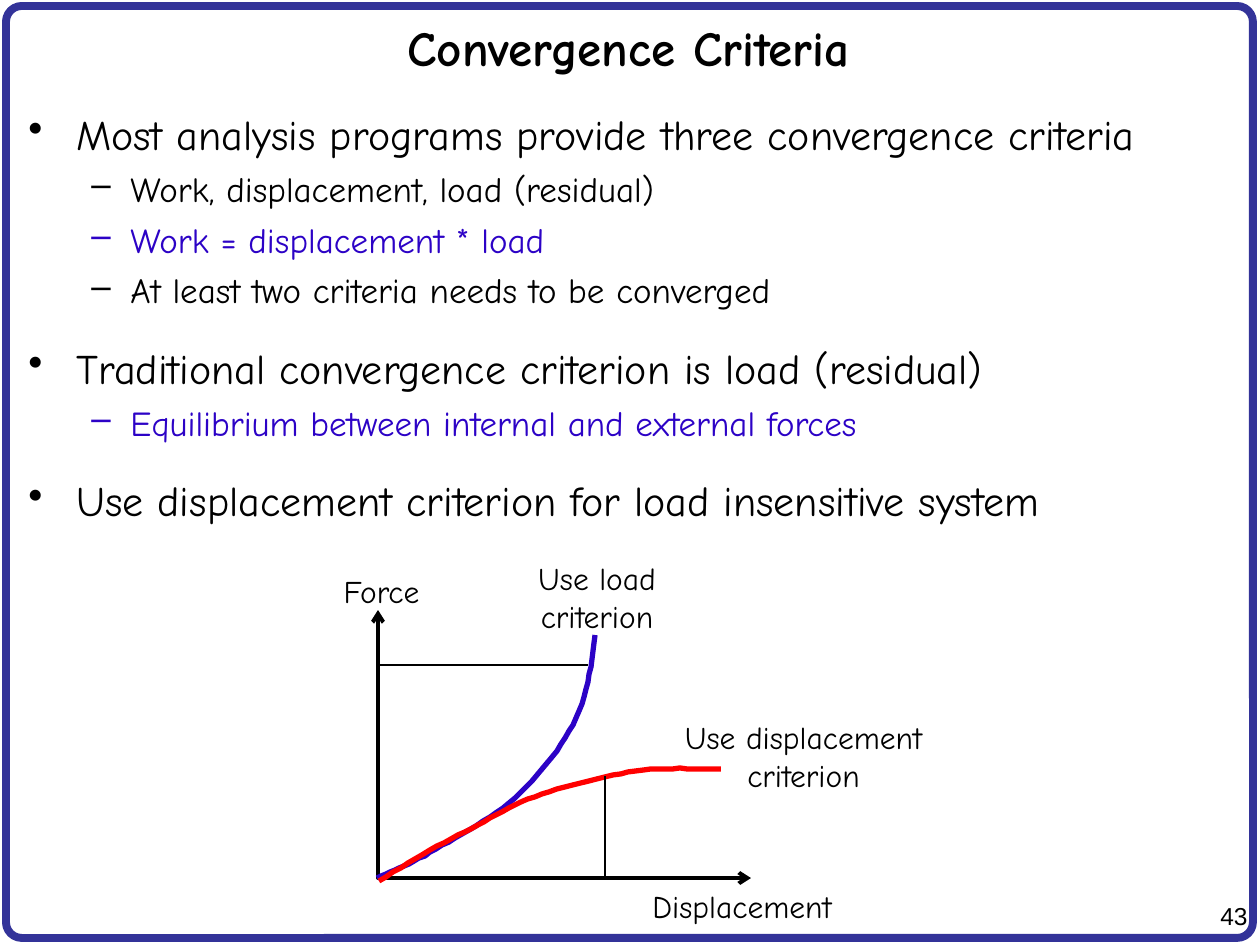
from dataclasses import dataclass

from lxml.etree import SubElement
from pptx import Presentation
from pptx.dml.color import RGBColor
from pptx.enum.shapes import MSO_CONNECTOR as Connector, MSO_SHAPE as Preset
from pptx.enum.text import MSO_ANCHOR as Anchor, MSO_AUTO_SIZE as AutoSize, PP_ALIGN as Align
from pptx.oxml.ns import qn
from pptx.util import Inches, Pt

PX = 914400 / 126


def emu(*lengths):
    return [round(length * PX) for length in lengths]


@dataclass(frozen=True)
class Theme:
    font: str = "Comic Neue"
    number_font: str = "Arial"
    ink: str = "000000"
    accent: str = "2C02C6"
    load: str = "2C02C6"
    displacement: str = "FF0000"
    frame: str = "333399"
    title: int = 28
    point: int = 24
    detail: int = 20
    label: int = 18
    number: int = 14


def bezier_points(start, segments, steps=12):
    """Points along a chain of cubic curves, each given as (control, control, end)."""
    points = [start]
    for c1, c2, end in segments:
        origin = points[-1]
        for step in range(1, steps + 1):
            t = step / steps
            u = 1 - t
            points.append(tuple(
                u**3 * a + 3 * u * u * t * b + 3 * u * t * t * c + t**3 * d
                for a, b, c, d in zip(origin, c1, c2, end)))
    return points


class SlideBuilder:
    def __init__(self, slide, theme):
        self.shapes = slide.shapes
        self.theme = theme

    def stroke(self, shape, color, width):
        shape.line.color.rgb = RGBColor.from_string(color)
        shape.line.width = Pt(width)

    def border(self, box, color, width, radius):
        shape = self.shapes.add_shape(Preset.ROUNDED_RECTANGLE, *emu(*box))
        shape.adjustments[0] = radius
        shape.shadow.inherit = False
        shape.fill.background()
        self.stroke(shape, color, width)

    def format_runs(self, paragraph, size, color=None, font=None, bold=False):
        style = {"name": font or self.theme.font, "size": Pt(size), "bold": bold}
        for run in paragraph.runs:
            for name, value in style.items():
                setattr(run.font, name, value)
            run.font.color.rgb = RGBColor.from_string(color or self.theme.ink)

    def text(self, box, words, size, align=Align.CENTER, wrap=False,
             anchor=Anchor.TOP, **style):
        frame = self.shapes.add_textbox(*emu(*box)).text_frame
        settings = {"word_wrap": wrap, "vertical_anchor": anchor,
                    "auto_size": AutoSize.NONE if wrap else AutoSize.SHAPE_TO_FIT_TEXT}
        for name, value in settings.items():
            setattr(frame, name, value)
        paragraph = frame.paragraphs[0]
        paragraph.text = words
        paragraph.alignment = align
        self.format_runs(paragraph, size, **style)

    def outline(self, box, items):
        """Bulleted list from (level, words, color) items."""
        levels = [("•", 0.38, -0.38, self.theme.point, 18),
                  ("–", 0.81, -0.31, self.theme.detail, 5)]
        frame = self.shapes.add_textbox(*emu(*box)).text_frame
        frame.word_wrap = True
        for index, (level, words, color) in enumerate(items):
            mark, margin, indent, size, gap = levels[level]
            paragraph = frame.add_paragraph() if index else frame.paragraphs[0]
            paragraph.text = words
            paragraph.level = level
            if index:
                paragraph.space_before = Pt(gap)
            props = paragraph._p.get_or_add_pPr()
            props.set("marL", str(Inches(margin)))
            props.set("indent", str(Inches(indent)))
            SubElement(props, qn("a:buChar")).set("char", mark)
            self.format_runs(paragraph, size, color)

    def polyline(self, points, color, width, arrows=False):
        start, *rest = points
        builder = self.shapes.build_freeform(*start, scale=PX)
        builder.add_line_segments(rest, close=False)
        shape = builder.convert_to_shape()
        shape.shadow.inherit = False
        shape.fill.background()
        self.stroke(shape, color, width)
        if arrows:
            for end in ("a:headEnd", "a:tailEnd"):
                SubElement(shape.line._get_or_add_ln(), qn(end)).set("type", "arrow")

    def line(self, start, end, color, width):
        connector = self.shapes.add_connector(Connector.STRAIGHT, *emu(*start, *end))
        self.stroke(connector, color, width)
        SubElement(connector._element.spPr, qn("a:effectLst"))


def main():
    deck = Presentation()
    deck.slide_width, deck.slide_height = Inches(10), Inches(7.5)
    theme = Theme()
    slide = SlideBuilder(deck.slides.add_slide(deck.slide_layouts[6]), theme)

    slide.border((6, 6, 1247, 932), theme.frame, 4.5, 0.017)
    slide.text((1192, 895, 68, 42), "43", theme.number, align=Align.RIGHT,
               wrap=True, font=theme.number_font)
    slide.text((5, 6, 1247, 82), "Convergence Criteria", theme.title,
               wrap=True, anchor=Anchor.MIDDLE, bold=True)
    slide.outline((16, 102, 1227, 809), [
        (0, "Most analysis programs provide three convergence criteria", theme.ink),
        (1, "Work, displacement, load (residual)", theme.ink),
        (1, "Work = displacement * load", theme.accent),
        (1, "At least two criteria needs to be converged", theme.ink),
        (0, "Traditional convergence criterion is load (residual)", theme.ink),
        (1, "Equilibrium between internal and external forces", theme.accent),
        (0, "Use displacement criterion for load insensitive system", theme.ink),
    ])

    axis_left, axis_bottom = 378, 878
    slide.polyline([(axis_left, 610), (axis_left, axis_bottom), (751, axis_bottom)],
                   theme.ink, 2.25, arrows=True)
    load_curve = bezier_points((377, 878), [
        ((394, 871), (413, 863), (436, 849)),
        ((460, 835), (493, 818), (515, 798)),
        ((538, 776), (559, 751), (573, 725)),
        ((587, 698), (591, 667), (595, 635)),
    ])
    displacement_curve = bezier_points((379, 881), [
        ((408, 863), (437, 845), (465, 832)),
        ((491, 818), (513, 804), (542, 794)),
        ((571, 784), (606, 776), (636, 771)),
        ((667, 767), (694, 769), (721, 769)),
    ])
    slide.polyline(load_curve, theme.load, 3)
    slide.line((axis_left, 665), (588, 665), theme.ink, 1)
    slide.polyline(displacement_curve, theme.displacement, 3)
    slide.line((605, 776), (605, axis_bottom), theme.ink, 1)

    for box, words in [
        ((326, 566, 111, 50), "Force"),
        ((631, 881, 222, 50), "Displacement"),
        ((519, 553, 156, 89), "Use load\ncriterion"),
        ((662, 712, 283, 89), "Use displacement\ncriterion"),
    ]:
        slide.text(box, words, theme.label)

    deck.save("out.pptx")


if __name__ == "__main__":
    main()
